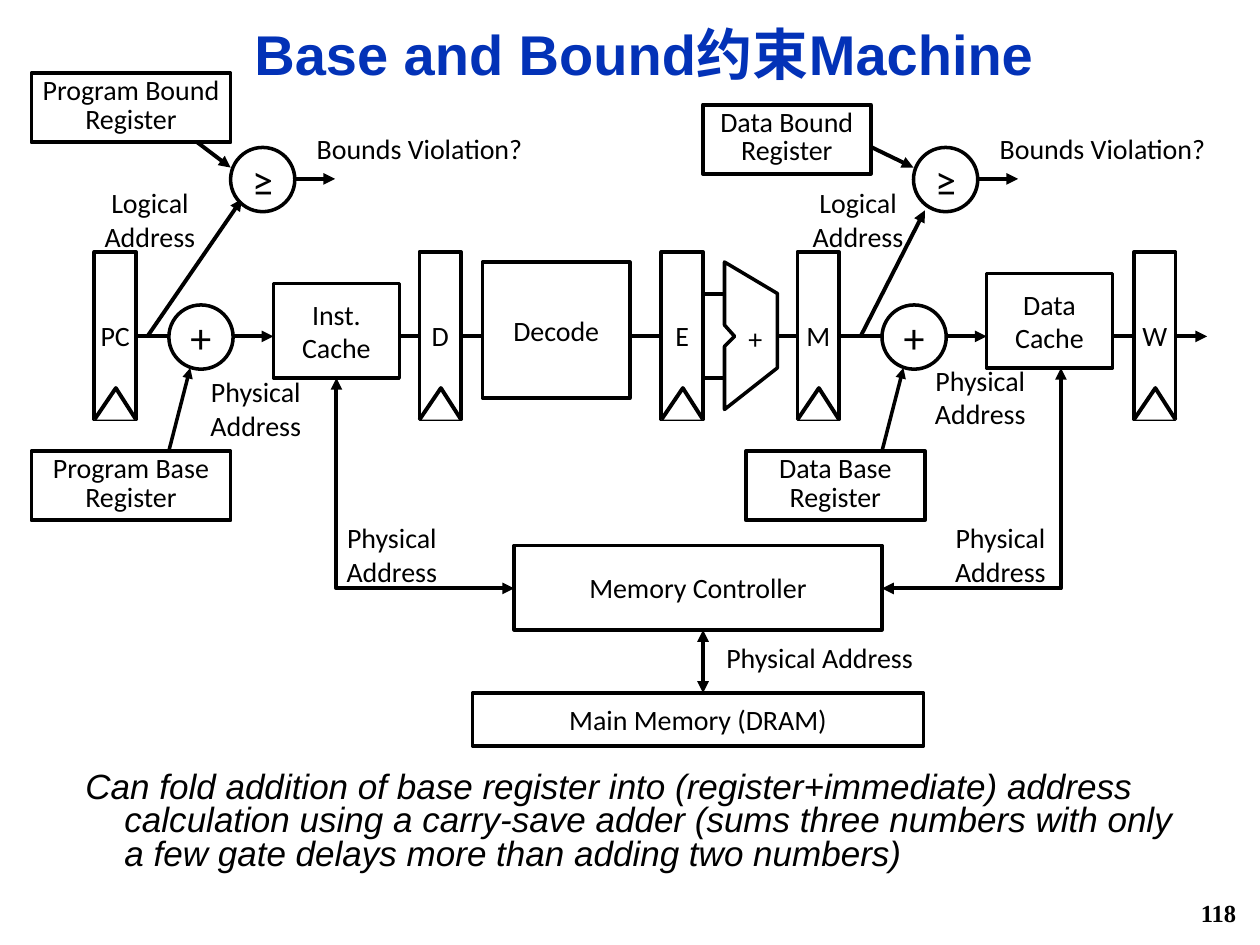
from pptx import Presentation
from pptx.dml.color import RGBColor
from pptx.enum.shapes import MSO_CONNECTOR, MSO_SHAPE
from pptx.enum.text import MSO_ANCHOR, PP_ALIGN
from pptx.oxml.ns import qn
from pptx.util import Inches, Pt
from lxml import etree

BLACK = RGBColor(0, 0, 0)
WHITE = RGBColor(255, 255, 255)
BLUE = RGBColor(0x03, 0x32, 0xB7)
RECT, OVAL = MSO_SHAPE.RECTANGLE, MSO_SHAPE.OVAL
STRAIGHT = MSO_CONNECTOR.STRAIGHT
TOP, MIDDLE = MSO_ANCHOR.TOP, MSO_ANCHOR.MIDDLE
LEFT, CENTER, RIGHT = PP_ALIGN.LEFT, PP_ALIGN.CENTER, PP_ALIGN.RIGHT
WIRE = 2.67
ENDS = {"end": ["tailEnd"], "both": ["headEnd", "tailEnd"], None: []}


def write(shape, text, size=16, face="Calibri", color=BLACK, align=CENTER,
          anchor=MIDDLE, wrap=True, pad=(0.1, 0.05), lead=None):
    frame = shape.text_frame
    frame.text = text
    frame.word_wrap = wrap
    frame.vertical_anchor = anchor
    frame.margin_left = frame.margin_right = Inches(pad[0])
    frame.margin_top = frame.margin_bottom = Inches(pad[1])
    para = frame.paragraphs[0]
    para.alignment = align
    if lead:
        para.line_spacing = lead
    font = para.runs[0].font
    font.size, font.name, font.color.rgb = Pt(size), face, color
    return para


def label(slide, box, text, **style):
    return write(slide.shapes.add_textbox(*map(Inches, box)), text, **style)


def paint(shape, width):
    shape.shadow.inherit = False
    shape.fill.solid()
    shape.fill.fore_color.rgb = WHITE
    shape.line.color.rgb = BLACK
    shape.line.width = Pt(width)


def block(slide, box, text, kind=RECT, width=2, **style):
    shape = slide.shapes.add_shape(kind, *map(Inches, box))
    paint(shape, width)
    write(shape, text, **style)


def tips(shape, ends):
    line = shape.element.spPr.find(qn("a:ln"))
    for tag in ENDS[ends]:
        etree.SubElement(line, qn("a:" + tag), type="triangle")


def wire(slide, start, stop, ends=None, width=2.25):
    link = slide.shapes.add_connector(STRAIGHT, *map(Inches, start + stop))
    link.line.color.rgb = BLACK
    link.line.width = Pt(width)
    tips(link, ends)
    etree.SubElement(link.element.spPr, qn("a:effectLst"))


def outline(slide, points, close=False, width=2.25):
    first, *rest = [tuple(map(Inches, p)) for p in points]
    build = slide.shapes.build_freeform(*first)
    build.add_line_segments(rest, close=close)
    shape = build.convert_to_shape()
    paint(shape, width)
    return shape


def route(slide, points):
    shape = outline(slide, points)
    shape.fill.background()
    tips(shape, "both")


def latch(slide, left, text):
    block(slide, (left, 2, 0.33, 1.33), text, width=2.25, wrap=False)
    outline(slide, [(left, 3.33), (left + 0.17, 3.08), (left + 0.33, 3.33)])


def circle(slide, left, top, text):
    block(slide, (left, top, 0.51, 0.51), text, OVAL, size=24, wrap=False)


def register(slide, left, top, width, text):
    block(slide, (left, top, width, 0.55), text, width=2.25,
          anchor=TOP, pad=(0.08, 0.04), lead=0.85)


def address(slide, left, top, kind="Physical"):
    label(slide, (left, top, 1.22, 0.64), kind + " Address")


def check(slide, left, note, bound, tap):
    wire(slide, tap, (left + 0.09, 1.58 if left < 5 else 1.67), "end")
    wire(slide, bound, (left, 1.33), "end")
    wire(slide, (left + 0.5, 1.42), (left + 0.83, 1.42), "end")
    circle(slide, left, 1.17, "≥")
    address(slide, note, 1.42, "Logical")
    label(slide, (left + 0.58, 1, 1.84, 0.35), "Bounds Violation?",
          anchor=TOP, wrap=False, pad=(0.08, 0.04))


def adder(slide, left):
    circle(slide, left, 2.42, "+")
    wire(slide, (left, 3.58), (left + 0.17, 2.92), "end", 2)


def pipeline(slide):
    for start, stop, ends in [(6.17, 7.83, "end"), (8.83, 9.58, "end"),
                              (3.17, 5.25, None), (1.08, 2.17, "end")]:
        wire(slide, (start, WIRE), (stop, WIRE), ends)
    for left, name in [(0.75, "PC"), (3.33, "D"), (5.25, "E"),
                       (6.33, "M"), (9, "W")]:
        latch(slide, left, name)
    block(slide, (2.17, 2.25, 1, 0.75), "Inst. Cache")
    block(slide, (3.83, 2.08, 1.17, 1.08), "Decode")
    block(slide, (7.83, 2.17, 1, 0.75), "Data Cache")
    outline(slide, [(5.75, 2.08), (5.75, 2.58), (5.83, WIRE), (5.75, 2.75),
                    (5.75, 3.25), (6.17, 2.92), (6.17, 2.33)], True, 2)
    for y in (2.33, 3):
        wire(slide, (5.58, y), (5.75, y))
    label(slide, (5.84, 2.5, 0.31, 0.37), "+", wrap=False)


def memory(slide):
    block(slide, (3.75, 5.5, 3.58, 0.42), "Main Memory (DRAM)")
    block(slide, (4.08, 4.33, 2.92, 0.67), "Memory Controller")
    route(slide, [(8.42, 2.92), (8.42, 4.67), (7, 4.67)])
    route(slide, [(2.67, 3), (2.67, 4.67), (4.08, 4.67)])
    wire(slide, (5.58, 5), (5.58, 5.5), "both")
    label(slide, (5.17, 5.03, 2.67, 0.37), "Physical Address")
    for left, top in [(7.17, 2.83), (7.33, 4.08), (2.5, 4.08), (1.42, 2.92)]:
        address(slide, left, top)


def guards(slide):
    check(slide, 1.83, 0.58, (1.5, 1.08), (1.17, WIRE))
    check(slide, 7.25, 6.2, (6.92, 1.17), (6.83, WIRE))
    adder(slide, 1.34)
    adder(slide, 7)
    register(slide, 0.25, 0.58, 1.58, "Program Bound Register")
    register(slide, 0.25, 3.58, 1.58, "Program Base Register")
    register(slide, 5.58, 0.83, 1.33, "Data Bound Register")
    register(slide, 5.92, 3.58, 1.42, "Data Base Register")


def words(slide):
    title = label(slide, (1.92, 0.05, 7.98, 0.81), "Base and Bound约束Machine",
                  size=32, face="Arial", color=BLUE, align=LEFT, lead=0.9)
    title.runs[0].font.bold = True
    number = label(slide, (7.83, 7.08, 2.08, 0.32), "118", size=14,
                   face="Times New Roman", align=RIGHT)
    number.runs[0].font.bold = True
    note = label(slide, (0.58, 6.08, 8.83, 0.92),
                 "Can fold addition of base register into (register+immediate) "
                 "address calculation using a carry-save adder (sums three "
                 "numbers with only a few gate delays more than adding two "
                 "numbers)", size=20, face="Arial", align=LEFT, anchor=TOP,
                 lead=0.8)
    note.runs[0].font.italic = True
    props = note._p.get_or_add_pPr()
    props.set("marL", str(Inches(0.31)))
    props.set("indent", str(Inches(-0.31)))


def main():
    deck = Presentation()
    deck.slide_width, deck.slide_height = Inches(10), Inches(7.5)
    slide = deck.slides.add_slide(deck.slide_layouts[6])
    words(slide)
    pipeline(slide)
    memory(slide)
    guards(slide)
    deck.save("out.pptx")


if __name__ == "__main__":
    main()
